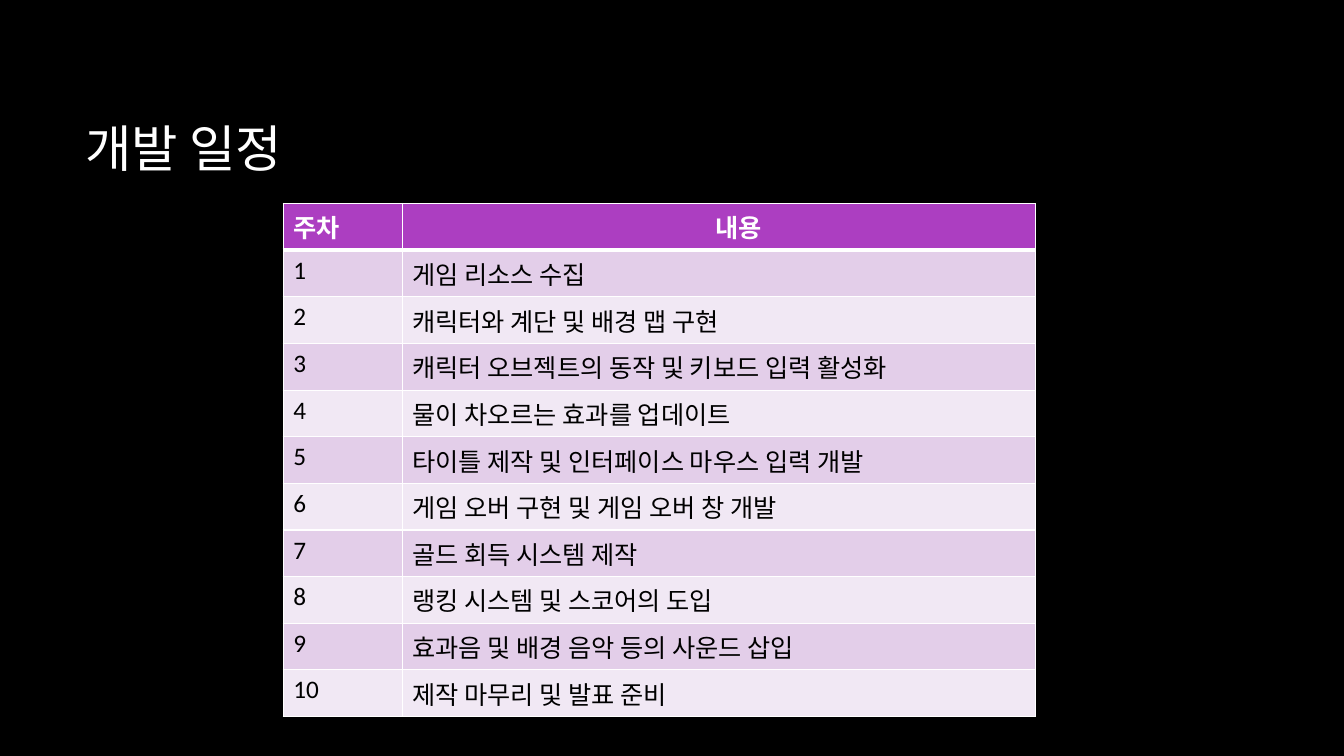
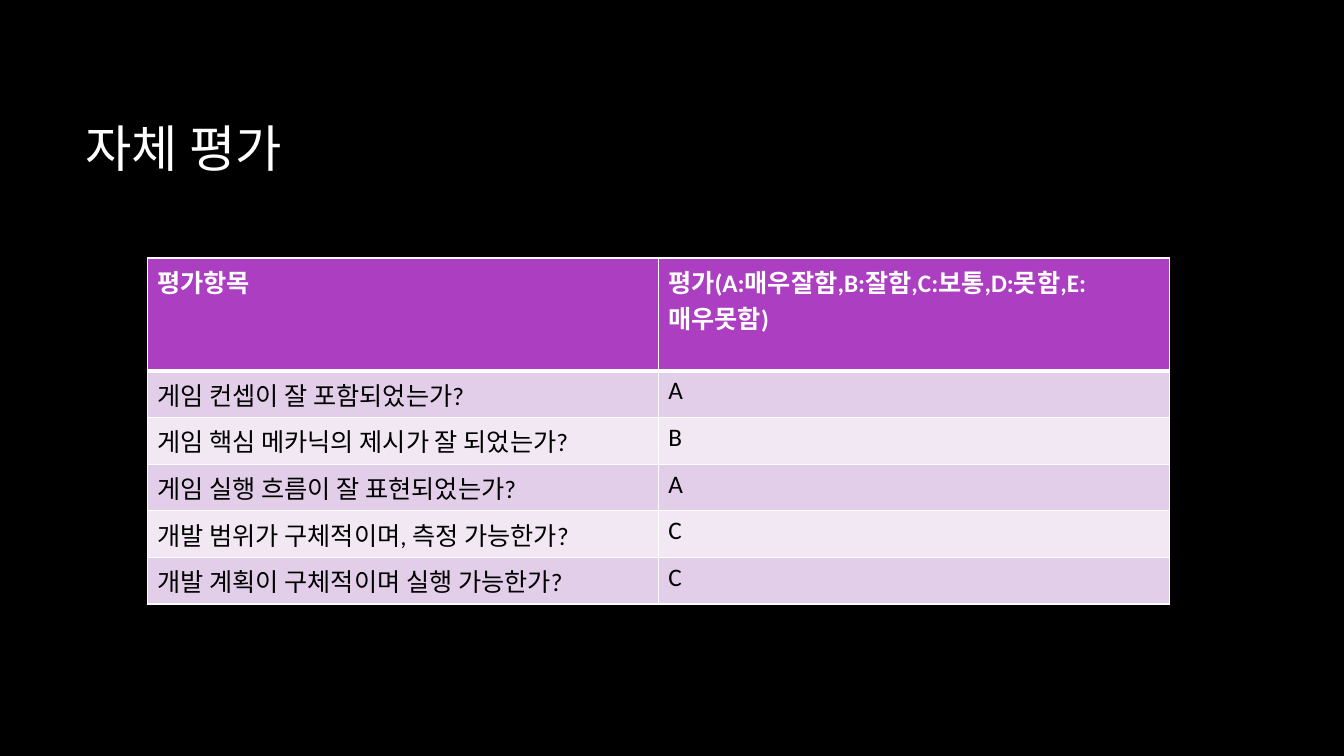
from dataclasses import dataclass
from pptx import Presentation, util as u
from pptx.dml.color import RGBColor
from pptx.enum import text
from pptx.oxml import parse_xml
from pptx.oxml.ns import nsdecls


@dataclass(frozen=True)
class Theme:
    font: str = "Calibri"
    title_size: int = 36
    table_size: int = 18
    background: str = "000000"
    light: str = "FFFFFF"
    dark: str = "000000"
    header: str = "AC3EC1"
    bands: tuple = ("E3CEE9", "F1E8F4")
    rule: int = 1
    header_rule: int = 3


theme = Theme()
rgb = RGBColor.from_string

prs = Presentation()
prs.slide_width, prs.slide_height = u.Inches(13.33), u.Inches(7.5)


# Lengths are percentages of the slide's width (x) and height (y)
def x(share):
    return int(prs.slide_width * share / 100)


def y(share):
    return int(prs.slide_height * share / 100)


ROW = 6.17

schedule = [
    "게임 리소스 수집",
    "캐릭터와 계단 및 배경 맵 구현",
    "캐릭터 오브젝트의 동작 및 키보드 입력 활성화",
    "물이 차오르는 효과를 업데이트",
    "타이틀 제작 및 인터페이스 마우스 입력 개발",
    "게임 오버 구현 및 게임 오버 창 개발",
    "골드 회득 시스템 제작",
    "랭킹 시스템 및 스코어의 도입",
    "효과음 및 배경 음악 등의 사운드 삽입",
    "제작 마무리 및 발표 준비",
]
evaluation = [
    ("게임 컨셉이 잘 포함되었는가?", "A"),
    ("게임 핵심 메카닉의 제시가 잘 되었는가?", "B"),
    ("게임 실행 흐름이 잘 표현되었는가?", "A"),
    ("개발 범위가 구체적이며, 측정 가능한가?", "C"),
    ("개발 계획이 구체적이며 실행 가능한가?", "C"),
]

# Title, table corner, column widths, header height, indent of last heading, rows
pages = [
    ("개발 일정", (21.08, 26.93), (8.85, 47.1), ROW, 23.3,
     [("주차", "내용")] + [(str(week), task) for week, task in enumerate(schedule, 1)]),
    ("자체 평가", (10.95, 34.13), (38.03, 38.03), 14.93, 0.75,
     [("평가항목", "평가(A:매우잘함,B:잘함,C:보통,D:못함,E:매우못함)")] + evaluation),
]

# Shared background
backdrop = prs.slide_master.background.fill
backdrop.solid()
backdrop.fore_color.rgb = rgb(theme.background)

for title, (left, top), widths, header_height, heading_indent, rows in pages:
    slide = prs.slides.add_slide(prs.slide_layouts[6])

    # Title
    heading = slide.shapes.add_textbox(x(5.63), y(8.93), x(83.1), y(21.2)).text_frame
    heading.word_wrap = True
    heading.vertical_anchor = text.MSO_ANCHOR.MIDDLE
    heading.text = title
    title_font = heading.paragraphs[0].font
    title_font.name, title_font.size = theme.font, u.Pt(theme.title_size)
    title_font.color.rgb = rgb(theme.light)

    # Table grid
    heights = [header_height] + [ROW] * (len(rows) - 1)
    table = slide.shapes.add_table(len(rows), len(widths), x(left), y(top),
                                   x(sum(widths)), y(sum(heights))).table
    table.horz_banding = False
    for column, width in zip(table.columns, widths):
        column.width = x(width)
    for row, height in zip(table.rows, heights):
        row.height = y(height)

    # Cells: borders, fill and text
    for r, entries in enumerate(rows):
        is_header = r == 0
        for c, entry in enumerate(entries):
            cell = table.cell(r, c)
            borders = {"lnL": theme.rule, "lnR": theme.rule,
                       "lnT": theme.header_rule if r == 1 else theme.rule,
                       "lnB": theme.header_rule if is_header else theme.rule}
            for side, points in borders.items():
                cell._tc.get_or_add_tcPr().append(parse_xml(
                    f'<a:{side} {nsdecls("a")} w="{u.Pt(points)}"><a:solidFill>'
                    f'<a:srgbClr val="{theme.light}"/></a:solidFill></a:{side}>'))
            cell.fill.solid()
            cell.fill.fore_color.rgb = rgb(theme.header if is_header else theme.bands[(r - 1) % 2])
            cell.text = entry
            cell_font = cell.text_frame.paragraphs[0].font
            cell_font.name, cell_font.size = theme.font, u.Pt(theme.table_size)
            cell_font.bold = is_header
            cell_font.color.rgb = rgb(theme.light if is_header else theme.dark)
    table.cell(0, 1).margin_left = x(heading_indent)

prs.save("out.pptx")
